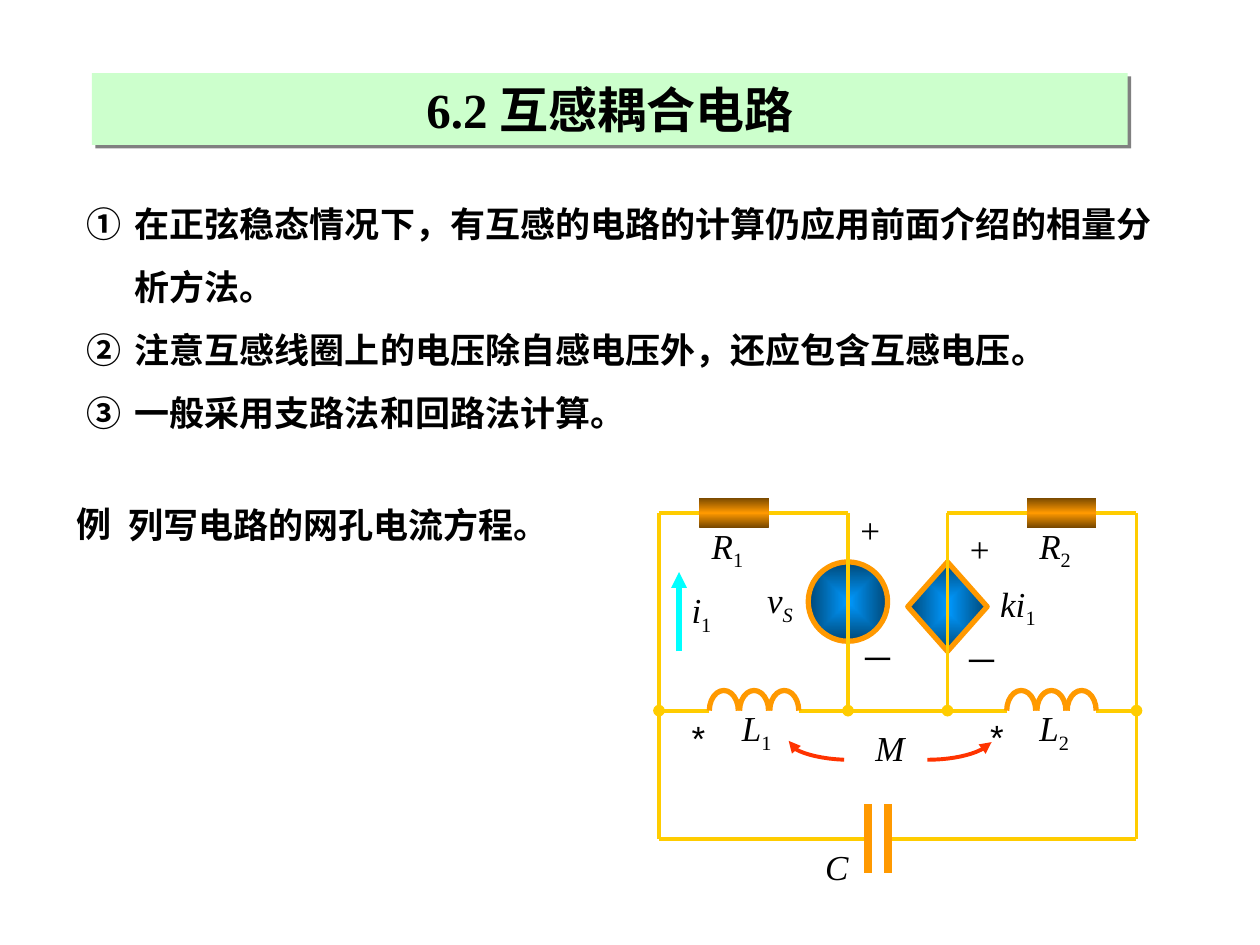
import pptx
import pptx.util
import pptx.dml.color
import pptx.enum.shapes
import pptx.enum.text
from lxml import etree
from pptx.oxml.ns import qn

I = pptx.util.Inches
RGB = pptx.dml.color.RGBColor.from_string
SHAPE = pptx.enum.shapes.MSO_SHAPE
ALIGN = pptx.enum.text.PP_ALIGN
ANCHOR = pptx.enum.text.MSO_ANCHOR

C = dict(text="000000", wire="FFCC00", part="FF9900", dark_part="764700",
         source="0099FF", dark_source="004776", current="00FFFF",
         mutual="FF3300", title="CCFFCC", shadow="808080")
SERIF, SANS, CJK = "Times New Roman", "Arial", "Noto Sans CJK SC"


def style(sp, line=None, width=2.25, fill=None, head=None, tail=None):
    """Set outline, line ends and fill (one colour or a list of stops); drop the shadow."""
    spPr = sp._element.spPr
    if hasattr(sp, "fill"):
        if fill is None:
            sp.fill.background()
        elif isinstance(fill, str):
            sp.fill.solid()
            sp.fill.fore_color.rgb = RGB(C[fill])
        else:
            sp.fill.gradient()
            grad = spPr.find(qn("a:gradFill"))
            for child in list(grad):
                grad.remove(child)
            stops = etree.SubElement(grad, qn("a:gsLst"))
            for n, key in enumerate(fill):
                gs = etree.SubElement(stops, qn("a:gs"), pos=str(100000 * n // (len(fill) - 1)))
                etree.SubElement(gs, qn("a:srgbClr"), val=C[key])
            if len(fill) == 2:
                path = etree.SubElement(grad, qn("a:path"), path="shape")
                etree.SubElement(path, qn("a:fillToRect"), {k: "50000" for k in "ltrb"})
            else:
                etree.SubElement(grad, qn("a:lin"), ang="5400000", scaled="0")
    if line:
        sp.line.color.rgb = RGB(C[line])
        sp.line.width = pptx.util.Pt(width)
        for tag, kind in (("a:headEnd", head), ("a:tailEnd", tail)):
            if kind:
                etree.SubElement(spPr.find(qn("a:ln")), qn(tag), type=kind)
    else:
        sp.line.fill.background()
    return etree.SubElement(spPr, qn("a:effectLst"))


def text(sp, content, size=20, font=SERIF, bold=False, italic=False, sub_italic=False,
         wrap=True, align=ALIGN.LEFT, anchor=ANCHOR.TOP, spacing=None, numbered=False):
    """Fill a shape with lines of text; an underscore starts a subscript."""
    tf = sp.text_frame
    tf.word_wrap = wrap
    tf.auto_size = pptx.enum.text.MSO_AUTO_SIZE.SHAPE_TO_FIT_TEXT
    tf.vertical_anchor = anchor
    for n, row in enumerate(content.split("\n")):
        p = tf.paragraphs[0] if n == 0 else tf.add_paragraph()
        p.alignment = align
        if spacing:
            p.line_spacing = spacing
        if numbered:
            pPr = p._p.get_or_add_pPr()
            pPr.set("marL", str(I(0.38)))
            pPr.set("indent", str(-I(0.38)))
            etree.SubElement(pPr, qn("a:buAutoNum"), type="circleNumDbPlain")
        for k, part in enumerate(row.split("_")):
            r = p.add_run()
            r.text = part
            r.font.size, r.font.name, r.font.bold = pptx.util.Pt(size), font, bold
            r.font.italic = sub_italic if k else italic
            r.font.color.rgb = RGB(C["text"])
            rPr = r._r.get_or_add_rPr()
            etree.SubElement(rPr, qn("a:ea"), typeface=CJK)
            if k:
                rPr.set("baseline", "-25000")


prs = pptx.Presentation()
prs.slide_width, prs.slide_height = I(10), I(7.5)
s = prs.slides.add_slide(prs.slide_layouts[6])

# Notes and example
notes = "\n".join(["在正弦稳态情况下，有互感的电路的计算仍应用前面介绍的相量分析方法。",
                   "注意互感线圈上的电压除自感电压外，还应包含互感电压。",
                   "一般采用支路法和回路法计算。"])
text(s.shapes.add_textbox(I(0.59), I(1.39), I(8.82), I(2.12)), notes,
     font=CJK, bold=True, spacing=1.5, numbered=True)
text(s.shapes.add_textbox(I(0.51), I(3.94), I(1.26), I(0.44)), "例", bold=True)
text(s.shapes.add_textbox(I(0.92), I(3.94), I(3.49), I(0.44)), "列写电路的网孔电流方程。",
     bold=True, anchor=ANCHOR.MIDDLE)

# Circuit grid: four columns, three rows
left, vs, cs, right = 5.23, 6.73, 7.52, 9.02
top, mid, low = 4.07, 5.64, 6.66
coils, coil_w, turn = (5.63, 7.99), 0.71, 0.24
plates = (6.89, 7.05)
circuit = s.shapes.add_group_shape().shapes

# Sources
for kind, x, h in ((SHAPE.OVAL, vs, 0.63), (SHAPE.DIAMOND, cs, 0.71)):
    sp = circuit.add_shape(kind, I(x - 0.315), I(4.46), I(0.63), I(h))
    style(sp, "part", 3, ["source", "dark_source"])

# Wires, capacitor plates and current arrow
wire = dict(line="wire")
node = dict(line="wire", tail="oval")
plate = dict(line="part", width=4.5)
lines = [(coils[0], mid, left, mid, node), (coils[1] + coil_w, mid, right, mid, node),
         (coils[0] + coil_w, mid, coils[1], mid, wire),
         (left, low, plates[0], low, wire), (plates[1], low, right, low, wire),
         (left, top, vs, top, wire), (cs, top, right, top, wire),
         (5.39, 5.17, 5.39, 4.54, dict(line="current", width=3, tail="triangle"))]
lines += [(x, top, x, mid, node) for x in (vs, cs)]
lines += [(x, top, x, low, wire) for x in (left, right)]
lines += [(x, 6.38, x, 6.93, plate) for x in plates]
for x1, y1, x2, y2, look in lines:
    sp = circuit.add_connector(pptx.enum.shapes.MSO_CONNECTOR.STRAIGHT,
                               I(x1), I(y1), I(x2), I(y2))
    style(sp, **look)

# Mutual inductance arrows, along cubic curves
for curve in (((7.36, 6.03), (7.58, 6.03), (7.79, 5.98), (7.87, 5.89)),
              ((6.7, 6.03), (6.45, 6.02), (6.26, 5.95), (6.26, 5.88))):
    points = []
    for n in range(13):
        t = n / 12
        weights = ((1 - t) ** 3, 3 * t * (1 - t) ** 2, 3 * t ** 2 * (1 - t), t ** 3)
        points.append(tuple(I(sum(w * q[k] for w, q in zip(weights, curve))) for k in (0, 1)))
    fb = circuit.build_freeform(*points[0])
    fb.add_line_segments(points[1:], close=False)
    style(fb.convert_to_shape(), "mutual", tail="triangle")

# Resistors and coils
for x in (5.55, 8.15):
    sp = circuit.add_shape(SHAPE.RECTANGLE, I(x), I(3.95), I(0.55), I(0.24))
    style(sp, fill=["dark_part", "part", "dark_part"])
for x in coils:
    for n in range(3):
        sp = circuit.add_shape(SHAPE.ARC, I(x + n * turn), I(mid - 0.16), I(0.23), I(0.32))
        sp.adjustments[0], sp.adjustments[1] = 108, 0
        style(sp, "part", 3)

# Labels
symbol = dict(italic=True, wrap=False)
plus = dict(wrap=False)
star = dict(font=SANS)
for x, y, w, label, look in (
        (6.85, 5.72, 0.44, "M", symbol), (6.45, 6.66, 0.55, "C", dict(italic=True)),
        (5.99, 4.54, 0.42, "v_S", dict(symbol, sub_italic=True)),
        (7.84, 4.57, 0.5, "ki_1", symbol), (5.39, 4.62, 0.37, "i_1", symbol),
        (5.79, 5.56, 0.45, "L_1", symbol), (8.15, 5.56, 0.45, "L_2", symbol),
        (5.55, 4.11, 0.47, "R_1", symbol), (8.15, 4.11, 0.47, "R_2", symbol),
        (6.73, 3.99, 0.36, "+", plus), (7.6, 4.14, 0.36, "+", plus),
        (6.73, 5.01, 0.55, "－", {}), (7.56, 5.03, 0.55, "－", {}),
        (5.39, 5.64, 0.39, "*", star), (7.76, 5.63, 0.39, "*", star)):
    text(circuit.add_textbox(I(x), I(y), I(w), I(0.44)), label, **look)

# Title bar
sp = s.shapes.add_shape(SHAPE.RECTANGLE, I(0.73), I(0.58), I(8.22), I(0.57))
effects = style(sp, fill="title")
shadow = etree.SubElement(effects, qn("a:outerShdw"), dist="35560", dir="2700000",
                          algn="ctr", rotWithShape="0")
etree.SubElement(shadow, qn("a:srgbClr"), val=C["shadow"])
text(sp, "6.2 互感耦合电路", size=28, bold=True, align=ALIGN.CENTER, anchor=ANCHOR.MIDDLE)

prs.save("out.pptx")
